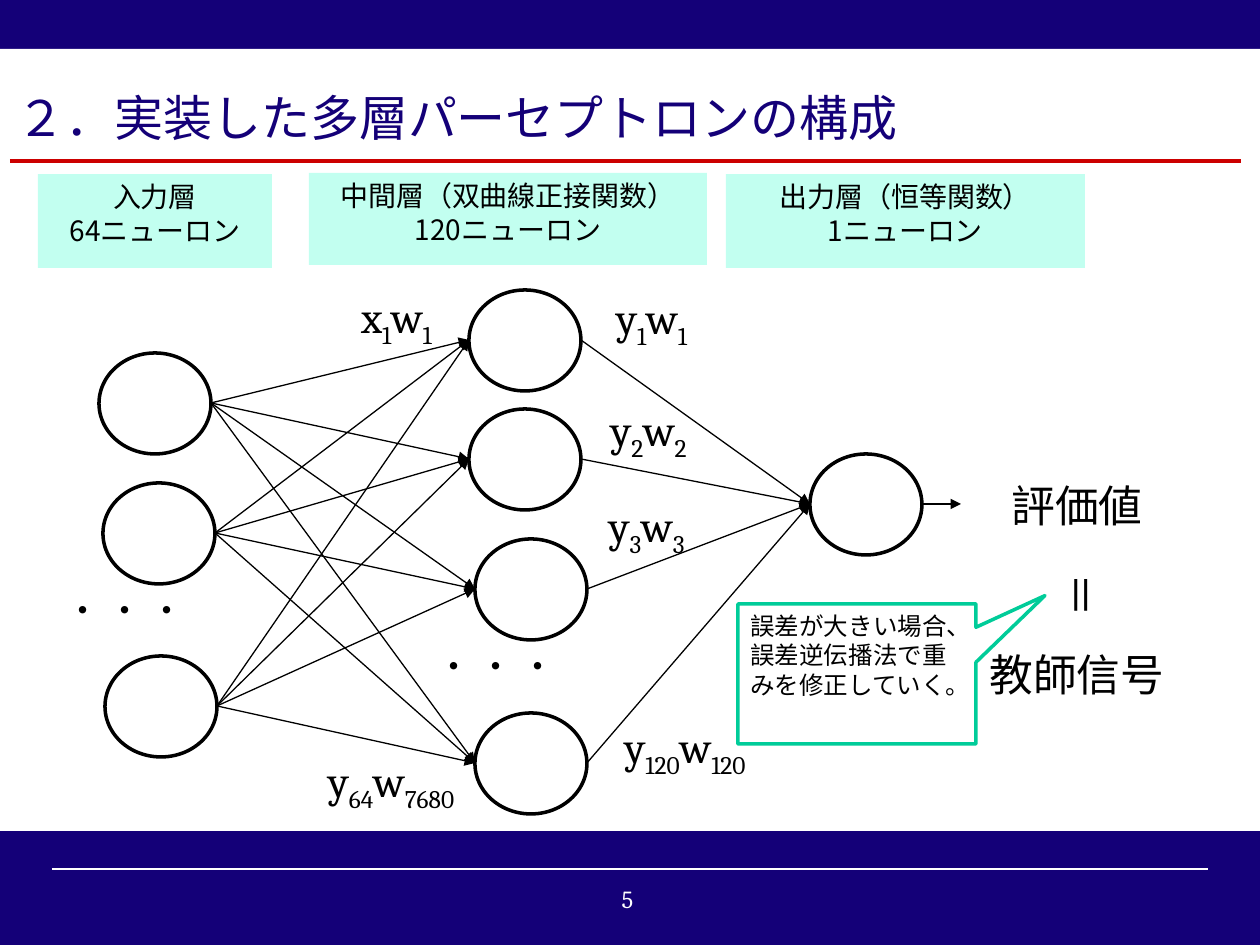
from itertools import product

from lxml import etree
from pptx import Presentation
from pptx.dml.color import RGBColor
from pptx.enum.shapes import MSO_CONNECTOR, MSO_SHAPE
from pptx.enum.text import MSO_ANCHOR, MSO_AUTO_SIZE, PP_ALIGN
from pptx.oxml.ns import qn
from pptx.util import Emu, Inches, Pt

RECTANGLE = MSO_SHAPE.RECTANGLE
CIRCLE = MSO_SHAPE.FLOWCHART_CONNECTOR
CALLOUT = MSO_SHAPE.RECTANGULAR_CALLOUT
STRAIGHT = MSO_CONNECTOR.STRAIGHT
LEFT, CENTER = PP_ALIGN.LEFT, PP_ALIGN.CENTER
TOP, MIDDLE = MSO_ANCHOR.TOP, MSO_ANCHOR.MIDDLE
GROW, FIXED = MSO_AUTO_SIZE.SHAPE_TO_FIT_TEXT, MSO_AUTO_SIZE.NONE

NAVY = RGBColor(0x14, 0x00, 0x78)
WHITE = RGBColor(0xFF, 0xFF, 0xFF)
BLACK = RGBColor(0x00, 0x00, 0x00)
RED = RGBColor(0xCC, 0x00, 0x00)
MINT = RGBColor(0xC2, 0xFF, 0xF0)
GREEN = RGBColor(0x00, 0xCC, 0x99)

SERIF = "Cambria"
GOTHIC = "Noto Sans CJK JP"
SCALE = Inches(1) // 126
NEURON_WIDTH, NEURON_HEIGHT = 112, 101


def emu(*pixels):
    return [Emu(value * SCALE) for value in pixels]


class Slide:
    def __init__(self, page):
        self.page = page
        page.background.fill.solid()
        page.background.fill.fore_color.rgb = NAVY

    def format_span(self, span, size, font, color):
        span.font.size = Pt(size)
        span.font.name = font
        span.font.color.rgb = color
        east_asian = etree.SubElement(span.font._element, qn("a:ea"))
        east_asian.set("typeface", GOTHIC)

    def fill_text(self, box, text, size, font=GOTHIC, color=BLACK,
                  align=CENTER, anchor=TOP, spacing=None):
        frame = box.text_frame
        frame.text = text
        frame.word_wrap = True
        frame.vertical_anchor = anchor
        for para in frame.paragraphs:
            para.alignment = align
            if spacing:
                para.line_spacing = Pt(spacing)
            for span in para.runs:
                self.format_span(span, size, font, color)

    def title(self, text, *place):
        box = self.page.shapes.title
        box.left, box.top, box.width, box.height = emu(*place)
        self.fill_text(box, text, 28, color=NAVY, align=LEFT, anchor=MIDDLE)
        box.text_frame.auto_size = FIXED
        return box

    def shape(self, kind, *place, fill=WHITE, line=None):
        box = self.page.shapes.add_shape(kind, *emu(*place))
        box.shadow.inherit = False
        box.fill.solid()
        box.fill.fore_color.rgb = fill
        if line is None:
            box.line.fill.background()
        else:
            box.line.color.rgb = line
            box.line.width = Pt(2)
        return box

    def neuron(self, left, top):
        self.shape(CIRCLE, left, top, NEURON_WIDTH, NEURON_HEIGHT, line=BLACK)

    def label(self, text, *place, size=25, color=BLACK, align=CENTER,
              spacing=None, vertical=False):
        box = self.page.shapes.add_textbox(*emu(*place))
        self.fill_text(box, text, size, SERIF, color, align, spacing=spacing)
        box.text_frame.auto_size = GROW
        if vertical:
            box.text_frame._txBody.bodyPr.set("vert", "eaVert")
        return box

    def formula(self, parts, *place):
        box = self.label("", *place)
        para = box.text_frame.paragraphs[0]
        for index, part in enumerate(parts):
            span = para.add_run()
            span.text = part
            self.format_span(span, 25, SERIF, BLACK)
            if index % 2:
                span.font._element.set("baseline", "-25000")

    def line(self, start, end, color=BLACK, width=0.75, arrow=False):
        link = self.page.shapes.add_connector(STRAIGHT, *emu(*start, *end))
        link.line.color.rgb = color
        link.line.width = Pt(width)
        if arrow:
            tail = etree.SubElement(link.line._get_or_add_ln(), qn("a:tailEnd"))
            tail.set("type", "triangle")
        etree.SubElement(link._element.spPr, qn("a:effectLst"))

    def synapse(self, source, target):
        middle = NEURON_HEIGHT // 2
        self.line((source[0] + NEURON_WIDTH, source[1] + middle),
                  (target[0], target[1] + middle), arrow=True)


deck = Presentation()
deck.slide_width, deck.slide_height = Inches(10), Inches(7.5)
slide = Slide(deck.slides.add_slide(deck.slide_layouts[5]))

# Frame, title and footer
panel = slide.shape(RECTANGLE, 0, 49, 1260, 782)
title = slide.title("２．実装した多層パーセプトロンの構成", 4, 74, 1229, 86)
title.element.addprevious(panel.element)
slide.line((10, 161), (1241, 161), RED, 2.25)
slide.line((52, 869), (1208, 869), WHITE)
slide.label("5", 88, 878, 1079, 47, size=14, color=WHITE)

# Layer headings
for text, *place in (
    ("入力層\n64ニューロン", 38, 174, 234, 94),
    ("中間層（双曲線正接関数）\n120ニューロン", 309, 173, 398, 92),
    ("出力層（恒等関数）\n1ニューロン", 726, 174, 359, 94),
):
    heading = slide.shape(RECTANGLE, *place, fill=MINT)
    slide.fill_text(heading, text, 16, spacing=19)

# Neurons and their connections
inputs = [(99, 353), (103, 483), (105, 656)]
hidden = [(469, 290), (469, 409), (475, 539), (475, 713)]
output = (810, 454)
for neuron in (*inputs, *hidden, output):
    slide.neuron(*neuron)
for source, target in (*product(inputs, hidden), *product(hidden, [output])):
    slide.synapse(source, target)
slide.line((922, 504), (961, 504), arrow=True)

# Omitted neurons
for place in ((125, 580, 68, 77), (496, 636, 68, 91)):
    slide.label("・・・", *place, size=20, align=LEFT, spacing=24, vertical=True)

# Evaluation against the teacher signal
slide.label("評価値", 989, 471, 176, 66, spacing=31)
slide.label("教師信号", 976, 640, 202, 66, spacing=31)
slide.label("＝", 1038, 561, 78, 66, spacing=31, vertical=True)
note = slide.shape(CALLOUT, 738, 604, 238, 140, line=GREEN)
note.adjustments[0], note.adjustments[1] = 0.79, -0.56
slide.fill_text(note, "誤差が大きい場合、誤差逆伝播法で重みを修正していく。", 14,
                align=LEFT, spacing=17)

# Weighted signals
for parts, *place in (
    (("x", "1", "w", "1"), 323, 284, 147, 66),
    (("y", "1", "w", "1"), 578, 285, 147, 66),
    (("y", "2", "w", "2"), 575, 397, 147, 66),
    (("y", "3", "w", "3"), 573, 493, 147, 66),
    (("y", "120", "w", "120"), 595, 714, 180, 66),
    (("y", "64", "w", "7680"), 301, 748, 180, 66),
):
    slide.formula(parts, *place)

deck.save("out.pptx")
